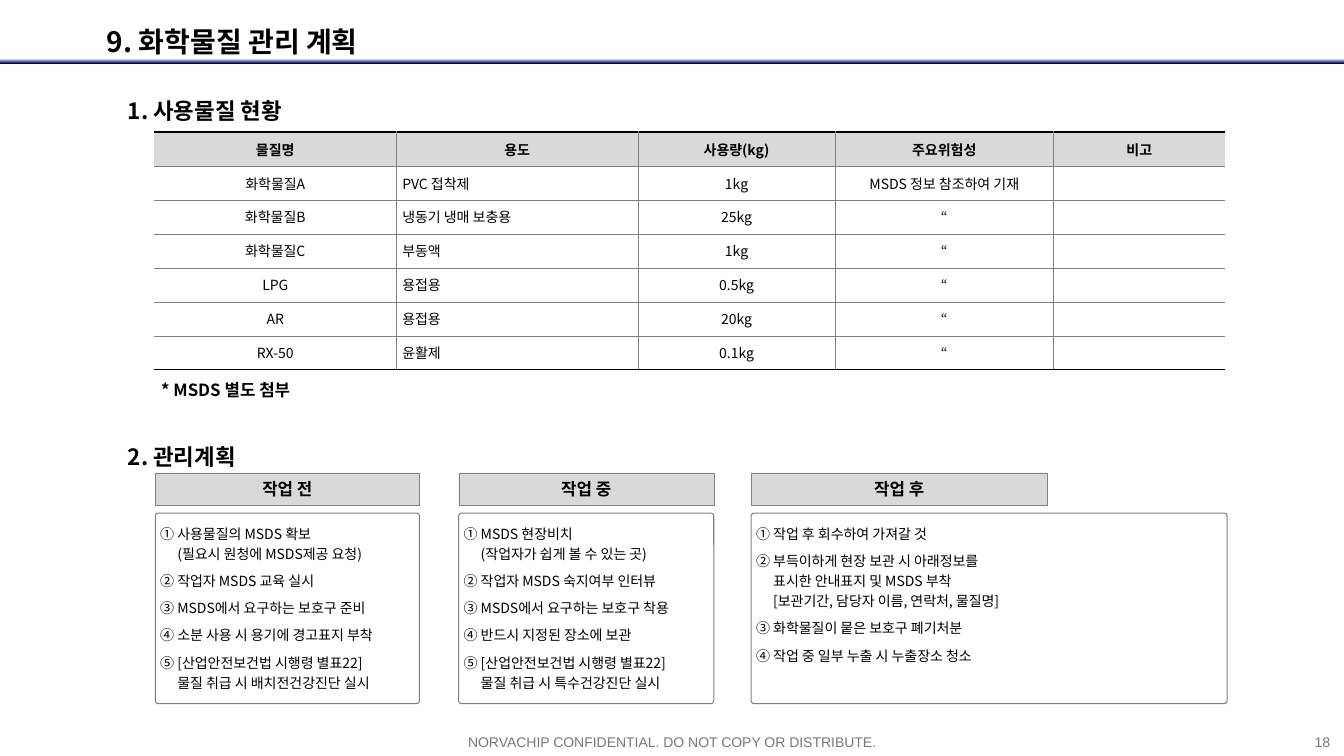
from lxml.etree import SubElement
from pptx import Presentation
from pptx.dml.color import RGBColor
from pptx.enum.shapes import MSO_SHAPE
from pptx.enum.text import MSO_ANCHOR, PP_ALIGN
from pptx.oxml.ns import qn
from pptx.util import Inches, Pt

LEFT, CENTER, RIGHT = PP_ALIGN.LEFT, PP_ALIGN.CENTER, PP_ALIGN.RIGHT
TOP, MIDDLE = MSO_ANCHOR.TOP, MSO_ANCHOR.MIDDLE
RECTANGLE, ROUNDED = MSO_SHAPE.RECTANGLE, MSO_SHAPE.ROUNDED_RECTANGLE

TITLE = "9. 화학물질 관리 계획"
SECTIONS = [("1. 사용물질 현황", 0.78, 4.18), ("2. 관리계획", 4.21, 2.09)]
MSDS_NOTE = "* MSDS 별도 첨부"
CONFIDENTIALITY = "NORVACHIP CONFIDENTIAL. DO NOT COPY OR DISTRIBUTE."
PAGE_NUMBER = "18"

SUBSTANCES = [
    ("물질명", "용도", "사용량(kg)", "주요위험성", "비고"),
    ("화학물질A", "PVC 접착제", "1kg", "MSDS 정보 참조하여 기재", ""),
    ("화학물질B", "냉동기 냉매 보충용", "25kg", "“", ""),
    ("화학물질C", "부동액", "1kg", "“", ""),
    ("LPG", "용접용", "0.5kg", "“", ""),
    ("AR", "용접용", "20kg", "“", ""),
    ("RX-50", "윤활제", "0.1kg", "“", ""),
]
COLUMN_WIDTHS = [2.4, 2.4, 1.95, 2.17, 1.7]

PHASES = [
    ("작업 전", 1.54, 2.62, 2.62, [
        "사용물질의 MSDS 확보\n(필요시 원청에 MSDS제공 요청)",
        "작업자 MSDS 교육 실시",
        "MSDS에서 요구하는 보호구 준비",
        "소분 사용 시 용기에 경고표지 부착",
        "[산업안전보건법 시행령 별표22]\n물질 취급 시 배치전건강진단 실시"]),
    ("작업 중", 4.55, 2.53, 2.53, [
        "MSDS 현장비치\n(작업자가 쉽게 볼 수 있는 곳)",
        "작업자 MSDS 숙지여부 인터뷰",
        "MSDS에서 요구하는 보호구 착용",
        "반드시 지정된 장소에 보관",
        "[산업안전보건법 시행령 별표22]\n물질 취급 시 특수건강진단 실시"]),
    ("작업 후", 7.45, 2.94, 4.72, [
        "작업 후 회수하여 가져갈 것",
        "부득이하게 현장 보관 시 아래정보를\n표시한 안내표지 및 MSDS 부착\n"
        "[보관기간, 담당자 이름, 연락처, 물질명]",
        "화학물질이 뭍은 보호구 폐기처분",
        "작업 중 일부 누출 시 누출장소 청소"]),
]

THEME = {
    "font": "Noto Sans CJK KR", "footer_font": "Arial",
    "ink": "000000", "muted": "787878", "rule": "808080",
    "header": "D9D9D9", "bar_start": "FFFFFF", "bar_end": "000066",
    "title": 20, "section": 16, "label": 12, "body": 10,
}


def rgb(name):
    return RGBColor.from_string(THEME[name])


def write(frame, text, size="body", font="font", color="ink", bold=False, align=LEFT,
          line=None, after=None, hanging=0, numbered=False):
    for index, entry in enumerate([text] if isinstance(text, str) else text):
        paragraph = frame.paragraphs[0] if index == 0 else frame.add_paragraph()
        paragraph.alignment = align
        if line:
            paragraph.line_spacing = line
        if after:
            paragraph.space_after = Pt(after)
        properties = paragraph._p.get_or_add_pPr()
        if hanging:
            properties.set("marL", str(Inches(hanging)))
            properties.set("indent", str(-Inches(hanging)))
        if numbered:
            SubElement(properties, qn("a:buFont"), typeface=THEME[font])
            SubElement(properties, qn("a:buAutoNum"), type="circleNumDbPlain")
        points = str(THEME[size] * 100)
        for number, piece in enumerate(entry.split("\n")):
            if number:
                paragraph.add_line_break()
            if piece:
                run = paragraph.add_run()
                run.text = piece
                run.font.size, run.font.bold = Pt(THEME[size]), bold
                run.font.name = THEME[font]
                run.font.color.rgb = rgb(color)
                SubElement(run._r.get_or_add_rPr(), qn("a:ea"), typeface=THEME[font])
        for line_break in paragraph._p.findall(qn("a:br")):
            SubElement(line_break, qn("a:rPr"), sz=points)
        if not entry:
            SubElement(paragraph._p, qn("a:endParaRPr"), sz=points)


def add_text(slide, bounds, text, anchor=TOP, wrap=True, **style):
    frame = slide.shapes.add_textbox(*map(Inches, bounds)).text_frame
    frame.word_wrap, frame.vertical_anchor = wrap, anchor
    write(frame, text, **style)


def add_panel(slide, bounds, radius, weight, fill=None):
    panel = slide.shapes.add_shape(ROUNDED, *map(Inches, bounds))
    panel.adjustments[0] = radius
    panel.shadow.inherit = False
    panel.line.color.rgb, panel.line.width = rgb("rule"), Pt(weight)
    if fill:
        panel.fill.solid()
        panel.fill.fore_color.rgb = rgb(fill)
    else:
        panel.fill.background()
    panel.text_frame.word_wrap = True
    return panel.text_frame


def set_border(cell, side, color, weight):
    border = SubElement(cell._tc.get_or_add_tcPr(), qn("a:ln" + side), w=str(Pt(weight)))
    if color:
        SubElement(SubElement(border, qn("a:solidFill")), qn("a:srgbClr"), val=THEME[color])
    else:
        SubElement(border, qn("a:noFill"))


def add_substances(slide):
    last_row, last_column = len(SUBSTANCES) - 1, len(COLUMN_WIDTHS) - 1
    table = slide.shapes.add_table(
        last_row + 1, last_column + 1, Inches(1.53), Inches(1.31),
        Inches(sum(COLUMN_WIDTHS)), Inches(2.36)).table
    table.first_row = table.horz_banding = False
    for column, width in zip(table.columns, COLUMN_WIDTHS):
        column.width = Inches(width)
    for r, substance in enumerate(SUBSTANCES):
        for c, value in enumerate(substance):
            cell = table.cell(r, c)
            cell.margin_left = cell.margin_right = Inches(0.06)
            cell.vertical_anchor = MIDDLE
            edges = {"L": c == 0, "R": c == last_column, "T": r == 0, "B": r == last_row}
            for side, outer in edges.items():
                color = "rule" if not outer else "ink" if side in "TB" else None
                set_border(cell, side, color, 1 if outer else 0.25)
            if r == 0:
                cell.fill.solid()
                cell.fill.fore_color.rgb = rgb("header")
            else:
                cell.fill.background()
            write(cell.text_frame, value, bold=r == 0,
                  align=LEFT if c == 1 and r else CENTER)


def add_phase(slide, heading, left, heading_width, width, steps):
    frame = add_panel(slide, (left, 4.69, heading_width, 0.32), 0, 0.25, "header")
    frame.vertical_anchor = MIDDLE
    write(frame, heading, size="label", bold=True, align=CENTER)
    frame = add_panel(slide, (left, 5.09, width, 1.89), 0.015, 0.75)
    frame.vertical_anchor = TOP
    frame.margin_left = frame.margin_right = frame.margin_bottom = Inches(0.04)
    frame.margin_top = Inches(0.08)
    write(frame, steps, line=1.2, after=5, hanging=0.17, numbered=True)


def main():
    deck = Presentation()
    deck.slide_width, deck.slide_height = Inches(13.33), Inches(7.5)
    slide = deck.slides.add_slide(deck.slide_layouts[6])

    bar = slide.shapes.add_shape(RECTANGLE, 0, Inches(0.58), Inches(13.33), Inches(0.05))
    bar.shadow.inherit = False
    bar.line.fill.background()
    bar.fill.gradient()
    bar.fill.gradient_angle = 270
    for stop, color in zip(bar.fill.gradient_stops, ("bar_start", "bar_end")):
        stop.color.rgb = rgb(color)

    footer = {"font": "footer_font", "color": "muted"}
    add_text(slide, (4.16, 7.23, 5.01, 0.27), CONFIDENTIALITY, align=CENTER, **footer)
    add_text(slide, (12.92, 7.23, 0.37, 0.27), PAGE_NUMBER, wrap=False, align=RIGHT, **footer)
    add_text(slide, (0.96, 0.03, 3.09, 0.6), TITLE, anchor=MIDDLE,
             size="title", bold=True, line=1.5)
    add_substances(slide)
    for heading, top, width in SECTIONS:
        add_text(slide, (1.17, top, width, 0.5), heading, size="section", bold=True,
                 line=1.5, after=10, hanging=0.29)
    add_text(slide, (1.5, 3.72, 2.96, 0.3), MSDS_NOTE, size="label", bold=True)
    for phase in PHASES:
        add_phase(slide, *phase)
    deck.save("out.pptx")


if __name__ == "__main__":
    main()
